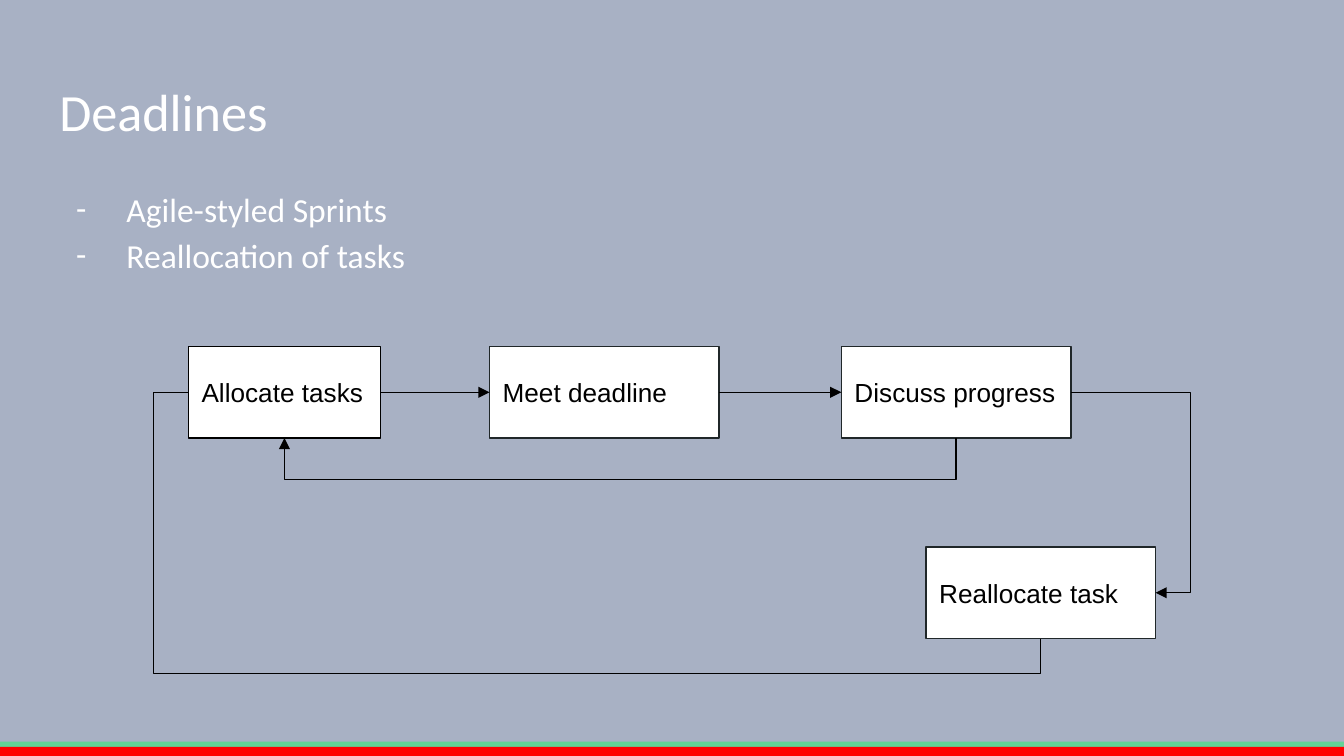
from typing import NamedTuple

from lxml.etree import SubElement
from pptx import Presentation
from pptx.dml.color import RGBColor
from pptx.enum.shapes import MSO_CONNECTOR as Link, MSO_SHAPE as Preset
from pptx.enum.text import MSO_ANCHOR as Anchor, MSO_AUTO_SIZE as Fit, PP_ALIGN as Align
from pptx.oxml.ns import qn
from pptx.util import Cm, Pt

COLORS = {
    "background": "A8B1C4",
    "green": "63D297",
    "red": "FF0000",
    "white": "FFFFFF",
    "black": "000000",
    "slate": "202729",
}
INSET = Cm(0.25)
ROW_TOP, STEP_HEIGHT = 6.55, 1.73
LANE = 0.66  # distance between a step and the line passing round it
RETURN_LANE = 0.79
RIGHT, BOTTOM, LEFT = 3, 2, 1


class Bar(NamedTuple):
    left: float
    top: float
    width: float
    height: float
    color: str


class Step(NamedTuple):
    label: str
    left: float
    top: float = ROW_TOP
    width: float = 4.34
    outline: str = "slate"

    @property
    def right(self) -> float:
        return self.left + self.width

    @property
    def bottom(self) -> float:
        return self.top + STEP_HEIGHT

    @property
    def center(self) -> float:
        return self.left + self.width / 2

    @property
    def middle(self) -> float:
        return self.top + STEP_HEIGHT / 2


BARS = [Bar(0, 14.02, 25.4, 0.27, "green"), Bar(-0.18, 14.12, 25.58, 0.41, "red")]
ALLOCATE = Step("Allocate tasks", 3.56, width=3.63, outline="black")
MEET = Step("Meet deadline", 9.25)
DISCUSS = Step("Discuss progress", 15.9)
REALLOCATE = Step("Reallocate task", 17.5, top=10.34)


def rgb(name: str) -> RGBColor:
    return RGBColor.from_string(COLORS[name])


def set_insets(frame) -> None:
    frame.margin_left = frame.margin_right = INSET
    frame.margin_top = frame.margin_bottom = INSET


def set_font(para, name: str, size: float, color: str) -> None:
    para.font.name = name
    para.font.size = Pt(size)
    para.font.color.rgb = rgb(color)


def place_placeholder(holder, top: float, height: float):
    holder.left, holder.top = Cm(0.87), Cm(top)
    holder.width, holder.height = Cm(23.67), Cm(height)
    frame = holder.text_frame
    frame.auto_size = Fit.NONE
    frame.vertical_anchor = Anchor.TOP
    set_insets(frame)
    return frame


def add_rectangle(page, left: float, top: float, width: float, height: float, color: str):
    box = page.shapes.add_shape(Preset.RECTANGLE, Cm(left), Cm(top), Cm(width), Cm(height))
    box.shadow.inherit = False
    box.fill.solid()
    box.fill.fore_color.rgb = rgb(color)
    box.line.fill.background()
    return box


def add_step(page, step: Step):
    box = add_rectangle(page, step.left, step.top, step.width, STEP_HEIGHT, "white")
    box.line.color.rgb = rgb(step.outline)
    box.line.width = Pt(0.75)
    frame = box.text_frame
    frame.word_wrap = True
    frame.vertical_anchor = Anchor.MIDDLE
    set_insets(frame)
    para = frame.paragraphs[0]
    para.text = step.label
    para.alignment = Align.LEFT
    set_font(para, "Arial", 14, "black")
    return box


def style_line(shape, arrow: bool) -> None:
    shape.line.color.rgb = rgb("black")
    shape.line.width = Pt(0.75)
    if arrow:
        SubElement(shape.line._get_or_add_ln(), qn("a:tailEnd"), type="triangle")


def add_arrow(page, start, end) -> None:
    arrow = page.shapes.add_connector(Link.STRAIGHT, 0, 0, 0, 0)
    arrow.begin_connect(start, RIGHT)
    arrow.end_connect(end, LEFT)
    style_line(arrow, arrow=True)
    SubElement(arrow._element.spPr, qn("a:effectLst"))


def add_route(page, points: list[tuple[float, float]], arrow: bool) -> None:
    first, *rest = [(Cm(x), Cm(y)) for x, y in points]
    builder = page.shapes.build_freeform(*first)
    builder.add_line_segments(rest, close=False)
    route = builder.convert_to_shape()
    route.fill.background()
    style_line(route, arrow)
    route.shadow.inherit = False


def main() -> None:
    deck = Presentation()
    deck.slide_width, deck.slide_height = Cm(25.4), Cm(14.29)
    page = deck.slides.add_slide(deck.slide_layouts[1])
    page.background.fill.solid()
    page.background.fill.fore_color.rgb = rgb("background")

    # Title
    frame = place_placeholder(page.shapes.title, 1.24, 1.6)
    para = frame.paragraphs[0]
    para.text = "Deadlines"
    para.alignment = Align.LEFT
    set_font(para, "Calibri", 28, "white")

    # Dashed list
    frame = place_placeholder(page.placeholders[1], 3.2, 9.5)
    frame.text = "Agile-styled Sprints\nReallocation of tasks"
    for para in frame.paragraphs:
        para.line_spacing = 1.15
        para.space_before = Pt(0)
        props = para._p.get_or_add_pPr()
        props.set("marL", str(Cm(1.27)))
        props.set("indent", str(Cm(-0.95)))
        bullet_color = SubElement(props, qn("a:buClr"))
        SubElement(bullet_color, qn("a:srgbClr"), val=COLORS["white"])
        SubElement(props, qn("a:buFont"), typeface="Calibri")
        SubElement(props, qn("a:buChar"), char="-")
        set_font(para, "Calibri", 18, "white")

    # Footer bars
    for bar in BARS:
        add_rectangle(page, *bar)

    # Steps and the straight arrows along the row
    allocate, meet, discuss, _ = [
        add_step(page, step) for step in (ALLOCATE, MEET, DISCUSS, REALLOCATE)
    ]
    add_arrow(page, allocate, meet)
    add_arrow(page, meet, discuss)

    # Bent routes around the steps
    right_lane = REALLOCATE.right + LANE
    add_route(page, [
        (DISCUSS.right, DISCUSS.middle), (right_lane, DISCUSS.middle),
        (right_lane, REALLOCATE.middle), (REALLOCATE.right, REALLOCATE.middle),
    ], arrow=True)
    return_lane = DISCUSS.bottom + RETURN_LANE
    add_route(page, [
        (DISCUSS.center, DISCUSS.bottom), (DISCUSS.center, return_lane),
        (ALLOCATE.center, return_lane), (ALLOCATE.center, ALLOCATE.bottom),
    ], arrow=True)
    low_lane, left_lane = REALLOCATE.bottom + LANE, ALLOCATE.left - LANE
    add_route(page, [
        (REALLOCATE.center, REALLOCATE.bottom), (REALLOCATE.center, low_lane),
        (left_lane, low_lane), (left_lane, ALLOCATE.middle),
        (ALLOCATE.left, ALLOCATE.middle),
    ], arrow=False)

    deck.save("out.pptx")


if __name__ == "__main__":
    main()
